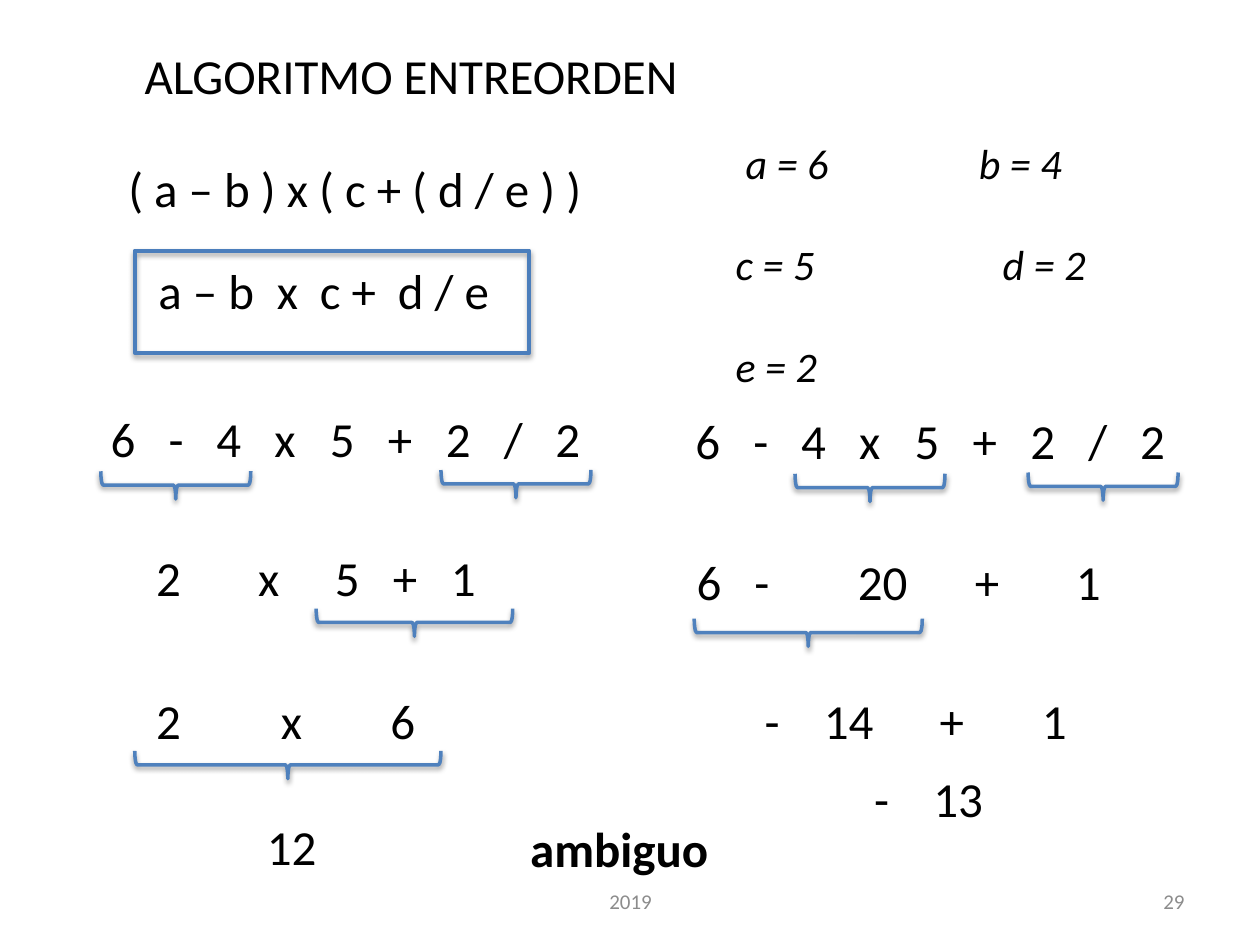
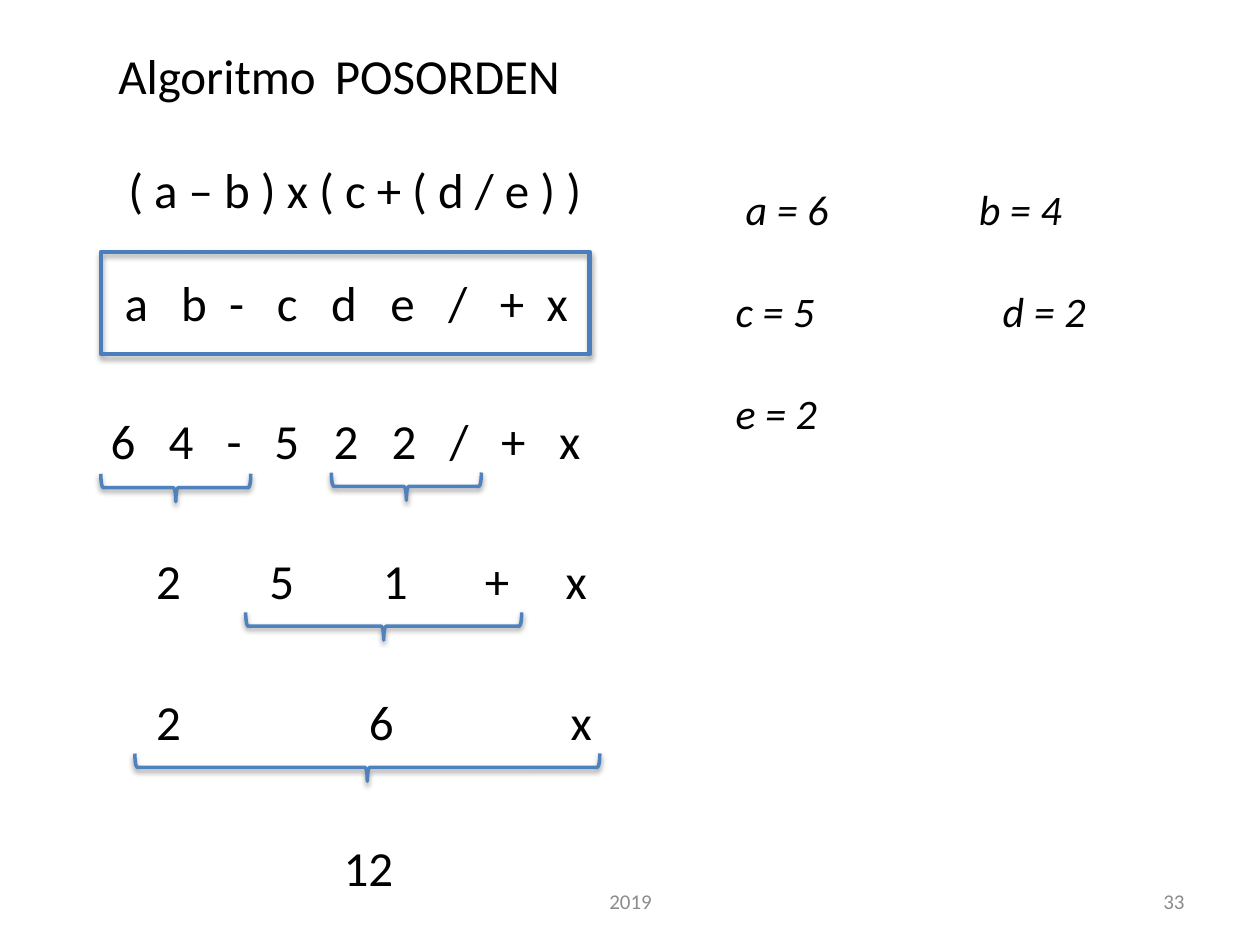
from pptx import Presentation
from pptx.dml.color import RGBColor
from pptx.enum.shapes import MSO_SHAPE
from pptx.enum.text import MSO_ANCHOR, PP_ALIGN
from pptx.oxml.ns import qn
from pptx.util import Inches, Pt
from lxml.etree import SubElement

BLACK = RGBColor(0x00, 0x00, 0x00)
GREY = RGBColor(0x8C, 0x8C, 0x8C)
BLUE = RGBColor(0x4F, 0x81, 0xBD)
FRAME = RGBColor(0x4B, 0x7E, 0xBC)
FONT = "Calibri"
INSET = 0.1
INFIX = ["6", "-", "4", "x", "5", "+", "2", "/", "2"]
INFIX_TABS = [0.46, 0.84, 1.3, 1.74, 2.2, 2.66, 3.12, 3.53]


class Deck:
    def __init__(self):
        self.show = Presentation()
        self.show.slide_width = Inches(10)
        self.show.slide_height = Inches(7.5)
        self.slide = None

    def start(self, number):
        self.slide = self.show.slides.add_slide(self.show.slide_layouts[6])
        self.footer("2019", 3.42, 3.17, PP_ALIGN.CENTER)
        self.footer(number, 7.17, 2.33, PP_ALIGN.RIGHT)

    def box(self, left, top, width, height):
        frame = self.slide.shapes.add_textbox(
            Inches(left), Inches(top), Inches(width), Inches(height)).text_frame
        frame.word_wrap = True
        return frame

    def fill(self, para, words, tabs=(), size=28, color=BLACK, bold=False, italic=False):
        para.text = "\t".join(words)
        if tabs:
            stops = SubElement(para._p.get_or_add_pPr(), qn("a:tabLst"))
            for tab in tabs:
                SubElement(stops, qn("a:tab"), pos=str(Inches(tab)), algn="l")
        font = para.font
        font.name, font.size, font.bold, font.italic = FONT, Pt(size), bold, italic
        font.color.rgb = color

    def row(self, left, top, words, tabs=(), width=4, bold=False):
        frame = self.box(left - INSET, top, width, 0.57)
        self.fill(frame.paragraphs[0], words, tabs, bold=bold)

    def footer(self, text, left, width, align):
        frame = self.box(left, 6.95, width, 0.4)
        frame.vertical_anchor = MSO_ANCHOR.MIDDLE
        para = frame.paragraphs[0]
        self.fill(para, [text], size=12, color=GREY)
        para.alignment = align

    def values(self, top):
        frame = self.box(5.74, top, 3.16, 2.12)
        lines = [(["", "a = 6", "b = 4"], [0.08, 1.93]),
                 (["c = 5", "d = 2"], [2.12]),
                 (["e = 2"], [])]
        for i, (words, tabs) in enumerate(lines):
            para = frame.add_paragraph() if i else frame.paragraphs[0]
            self.fill(para, words, tabs, size=24, italic=True)
            if i:
                para.space_before = Pt(29.3)

    def outline(self, kind, left, top, width, height, color, weight, alpha, drop):
        shape = self.slide.shapes.add_shape(
            kind, Inches(left), Inches(top), Inches(width), Inches(height))
        shape.fill.background()
        shape.line.color.rgb = color
        shape.line.width = Pt(weight)
        shape.shadow.inherit = False
        effects = shape._element.spPr.find(qn("a:effectLst"))
        shade = SubElement(effects, qn("a:outerShdw"), blurRad=str(Pt(3.1)),
                           dist=str(Pt(drop)), dir="5400000", rotWithShape="0")
        tint = SubElement(shade, qn("a:srgbClr"), val="000000")
        SubElement(tint, qn("a:alpha"), val=str(alpha * 1000))
        return shape

    def frame(self, left, top, width):
        self.outline(MSO_SHAPE.RECTANGLE, left, top, width, 0.81, FRAME, 2.5, 35, 1.8)

    def brace(self, left, top, span=1.19):
        deep = 0.22
        shift = (span - deep) / 2
        shape = self.outline(MSO_SHAPE.LEFT_BRACE, left + shift, top - shift,
                             deep, span, BLUE, 2, 38, 1.6)
        shape.rotation = 270

    def formula(self, top):
        self.row(1.02, top, ["( a – b ) x ( c + ( d / e ) )"], width=4.94)


def inorder(deck):
    deck.start("29")
    deck.row(1.15, 0.31, ["ALGORITMO ENTREORDEN"], width=4.81)
    deck.formula(1.21)
    deck.values(1.04)
    deck.frame(1.07, 1.99, 3.13)
    deck.row(1.26, 2.02, ["a – b", "x", "c +", "d / e"], [0.94, 1.28, 1.9])

    deck.row(0.88, 3.19, INFIX, INFIX_TABS)
    deck.row(1.24, 4.3, ["2", "x", "5", "+", "1"], [0.81, 1.42, 1.88, 2.34])
    deck.row(1.24, 5.43, ["2", "x", "6"], [0.99, 1.86])
    deck.row(2.12, 6.43, ["12"], width=1)
    deck.brace(0.8, 3.74)
    deck.brace(3.5, 3.73)
    deck.brace(2.51, 4.83, 1.56)
    deck.brace(1.07, 5.96, 2.43)

    deck.row(5.52, 3.21, INFIX, INFIX_TABS, 4.41)
    deck.row(5.53, 4.33, ["6", "-", "20", "+", "1"], [0.46, 1.28, 2.21, 3.01])
    deck.row(6.07, 5.43, ["-", "14", "+", "1"], [0.47, 1.39, 2.2], 3.5)
    deck.row(6.94, 6.05, ["-", "13"], [0.47], 1.7)
    deck.brace(8.16, 3.75)
    deck.brace(6.31, 3.76)
    deck.brace(5.51, 4.91, 1.81)
    deck.row(4.21, 6.45, ["ambiguo"], width=1.64, bold=True)


def postorder(deck):
    deck.start("33")
    deck.row(0.94, 0.31, ["Algoritmo", "POSORDEN"], [1.72], 4.78)
    deck.formula(1.22)
    deck.values(1.41)
    deck.frame(0.8, 2, 3.88)
    deck.row(0.99, 2.11, ["a", "b", "-", "c", "d", "e", "/", "+", "x"],
             [0.45, 0.83, 1.21, 1.64, 2.11, 2.57, 2.98, 3.35])

    deck.row(0.88, 3.21, ["6", "4", "-", "5", "2", "2", "/", "+", "x"],
             [0.46, 0.92, 1.3, 1.77, 2.23, 2.69, 3.1, 3.56])
    deck.row(1.24, 4.32, ["2", "5", "1", "+", "x"], [0.9, 1.8, 2.61, 3.25])
    deck.row(1.24, 5.44, ["2", "6", "x"], [1.69, 3.29])
    deck.row(2.73, 6.6, ["12"], width=1)
    deck.brace(0.8, 3.76)
    deck.brace(2.63, 3.75)
    deck.brace(1.95, 4.86, 2.19)
    deck.brace(1.07, 5.98, 3.69)


def main():
    deck = Deck()
    inorder(deck)
    postorder(deck)
    deck.show.save("out.pptx")


if __name__ == "__main__":
    main()
